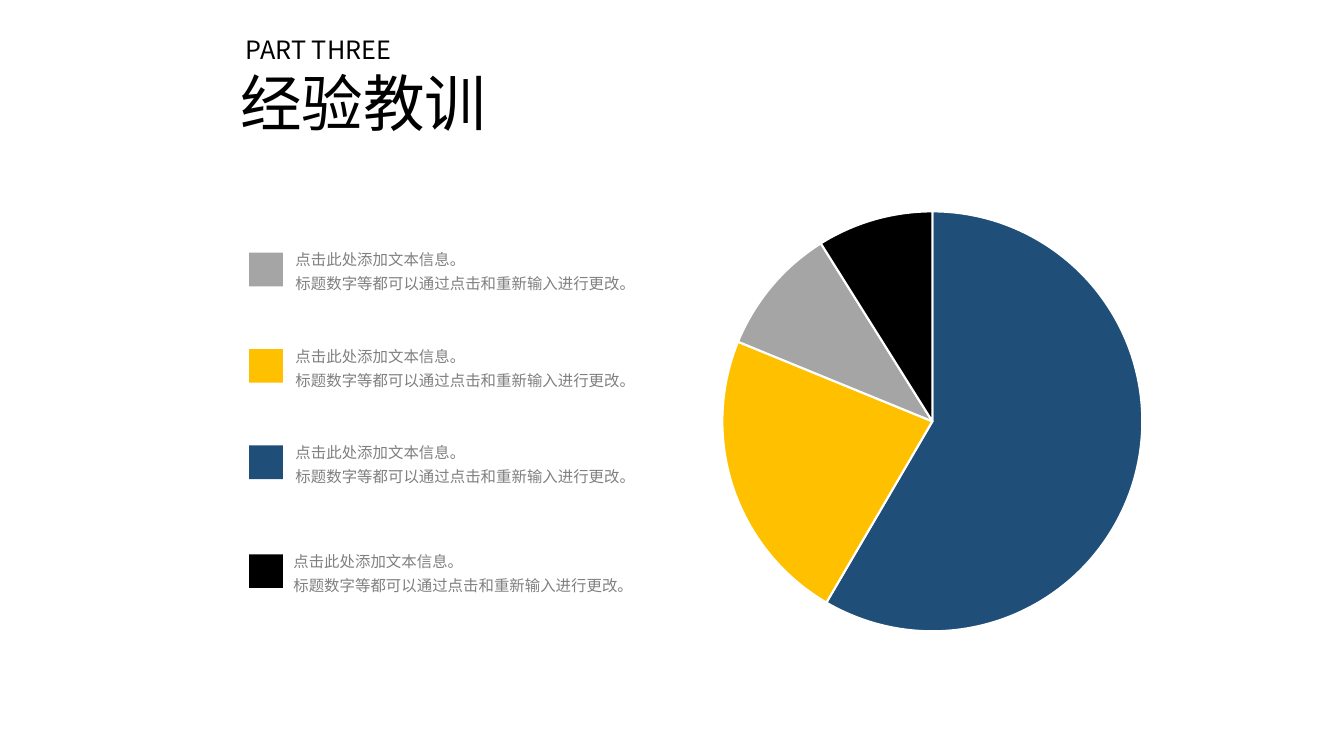
from lxml import etree
from pptx import Presentation
from pptx.chart import data as chart_data
from pptx.dml.color import RGBColor
from pptx.enum import chart as charts, shapes, text
from pptx.oxml import parse_xml
from pptx.oxml.ns import nsdecls, qn
from pptx.util import Pt

BLACK = RGBColor(0x00, 0x00, 0x00)
WHITE = RGBColor(0xFF, 0xFF, 0xFF)
BLUE = RGBColor(0x1F, 0x4E, 0x79)
YELLOW = RGBColor(0xFF, 0xC0, 0x00)
GRAY = RGBColor(0xA5, 0xA5, 0xA5)
TEXT_GRAY = RGBColor(0x80, 0x80, 0x80)
FONT = "Noto Sans CJK SC"

LEGEND_LINES = ["点击此处添加文本信息。", "标题数字等都可以通过点击和重新输入进行更改。"]
# Swatch colour, top and text offset of each legend row, in points
LEGEND_ROWS = [(GRAY, 180.5, 26), (YELLOW, 249.3, 26), (BLUE, 318.2, 26), (BLACK, 396, 24.5)]
SLICES = [("1", 59, BLUE), ("2", 23, YELLOW), ("3", 10, GRAY), ("4", 9, BLACK)]


def set_font(font, **values):
    """Apply size and the like to a font, and the typeface to all scripts."""
    for name, value in {"name": FONT, **values}.items():
        setattr(font, name, value)


def add_text(slide, left, top, width, height, lines):
    """Add a text box; each line is (text, size, colour, indent, line spacing)."""
    box = slide.shapes.add_textbox(Pt(left), Pt(top), Pt(width), Pt(height))
    frame = box.text_frame
    frame.word_wrap = True
    frame.auto_size = text.MSO_AUTO_SIZE.SHAPE_TO_FIT_TEXT
    for index, (words, size, colour, indent, spacing) in enumerate(lines):
        paragraph = frame.paragraphs[0] if index == 0 else frame.add_paragraph()
        paragraph.line_spacing = spacing
        paragraph_format = paragraph._p.get_or_add_pPr()
        paragraph_format.set("marL", str(Pt(indent)))
        paragraph_format.set("indent", "0")
        run = paragraph.add_run()
        run.text = words
        set_font(run.font, size=Pt(size))
        run.font.color.rgb = colour
        etree.SubElement(run._r.get_or_add_rPr(), qn("a:ea"), typeface=FONT)


def add_title(slide, left, top, width, height):
    add_text(slide, left, top, width, height, [
        ("PART THREE", 18, BLACK, 8, 1.0),
        ("经验教训", 44, BLACK, 4, 1.0),
    ])


def add_legend_row(slide, left, top, colour, text_offset):
    swatch = slide.shapes.add_shape(
        shapes.MSO_SHAPE.RECTANGLE, Pt(left), Pt(top), Pt(24), Pt(24))
    swatch.shadow.inherit = False
    swatch.fill.solid()
    swatch.fill.fore_color.rgb = colour
    swatch.line.fill.background()
    add_text(slide, left + text_offset, top - 9, 260, 42,
             [(line, 11, TEXT_GRAY, 0, 1.3) for line in LEGEND_LINES])


def add_pie(slide, left, top, width, height, diameter):
    data = chart_data.CategoryChartData()
    data.categories = [name for name, _, _ in SLICES]
    data.add_series("Series 1", [value for _, value, _ in SLICES])
    chart = slide.shapes.add_chart(
        charts.XL_CHART_TYPE.PIE, Pt(left), Pt(top), Pt(width), Pt(height), data).chart
    chart.has_legend = False
    chart.has_title = False
    set_font(chart.font, size=Pt(10))
    chart.font.color.rgb = BLACK
    plot = chart.plots[0]
    plot.vary_by_categories = True
    for index, (_, _, colour) in enumerate(SLICES):
        slice_format = plot.series[0].points[index].format
        slice_format.fill.solid()
        slice_format.fill.fore_color.rgb = colour
        slice_format.line.color.rgb = WHITE
        slice_format.line.width = Pt(1.5)
    center_plot(chart, diameter / width, diameter / height)


def center_plot(chart, width_share, height_share):
    """Fix the plot area to centred shares of the chart's box."""
    settings = {
        "layoutTarget": "inner", "xMode": "edge", "yMode": "edge",
        "x": (1 - width_share) / 2, "y": (1 - height_share) / 2,
        "w": width_share, "h": height_share,
    }
    items = "".join(f'<c:{name} val="{value}"/>' for name, value in settings.items())
    layout = parse_xml(
        f'<c:layout {nsdecls("c")}><c:manualLayout>{items}</c:manualLayout></c:layout>')
    plot_area = chart._chartSpace.chart.plotArea
    for old_layout in plot_area.findall(qn("c:layout")):
        plot_area.remove(old_layout)
    plot_area.insert(0, layout)


def main():
    presentation = Presentation()
    presentation.slide_width = Pt(960)
    presentation.slide_height = Pt(540)
    slide = presentation.slides.add_slide(presentation.slide_layouts[6])
    add_title(slide, 160.5, 21, 198, 82)
    add_pie(slide, 477.5, 140.5, 377, 321, diameter=300)
    for colour, top, text_offset in LEGEND_ROWS:
        add_legend_row(slide, 178, top, colour, text_offset)
    presentation.save("out.pptx")


if __name__ == "__main__":
    main()
